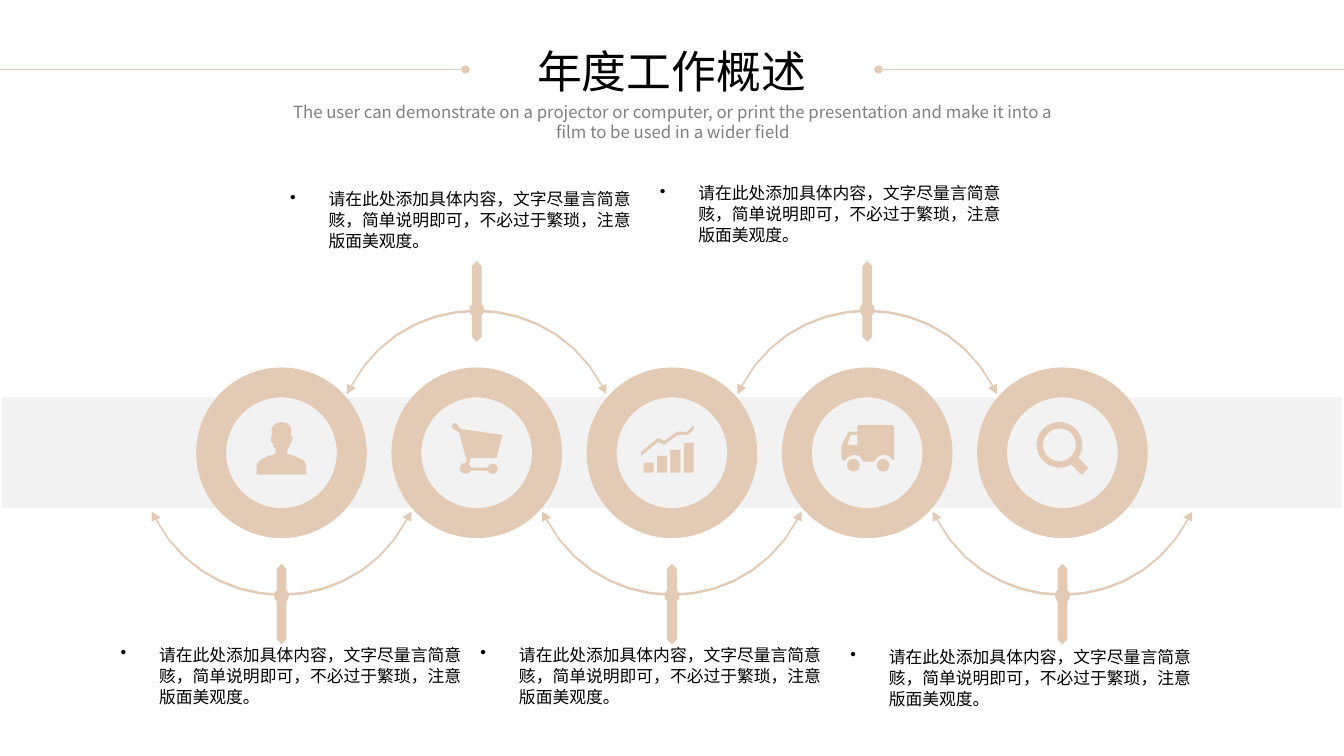
from pptx import Presentation
from pptx import util as u
from pptx.dml.color import RGBColor
from pptx.enum import shapes, text
from pptx.oxml.ns import qn
from lxml import etree

# ---------- Content ----------
TITLE = "年度工作概述"
SUBTITLE = ("The user can demonstrate on a projector or computer, or print the "
            "presentation and make it into a film to be used in a wider field")
CAPTION = "请在此处添加具体内容，文字尽量言简意赅，简单说明即可，不必过于繁琐，注意版面美观度。"
CAPTION_CORNERS = [(2.79, 16.1), (7.06, 4.62), (11.86, 16.1), (16.38, 4.47), (21.18, 16.15)]
FONT = "Noto Sans CJK SC"
SAND, PALE, BLACK, GREY = "E3CAB4", "F2F2F2", "000000", "808080"

# Outlines: a pair is a corner, six numbers are a Bezier curve.
# Icons are measured in grid steps from the middle of their ring.
GRID = 0.025
PERSON_HALF = [(0, -31), (6, -31, 10, -27, 10, -23), (10, -22, 10, -19, 9, -17),
               (11, -18, 11, -14, 11, -13), (11, -12, 10, -10, 9, -10),
               (9, -6, 6, -4, 6, -4), (6, 1), (6, 1, 8, 2, 13, 3),
               (18, 6, 23, 7, 24, 10), (26, 12, 25, 22, 25, 22)]
CART = [(16, 11), (14, 11, 11, 13, 11, 15), (-6, 15), (-6, 13, -7, 12, -8, 12),
        (-6, 5), (20, 5), (26, -18), (-16, -24), (-19, -27),
        (-19, -28, -21, -30, -22, -30), (-24, -30, -25, -28, -25, -27),
        (-25, -25, -24, -23, -22, -23), (-18, -21), (-11, 5), (-10, 5), (-11, 10),
        (-15, 10, -17, 13, -17, 16), (-17, 19, -15, 21, -11, 21),
        (-9, 21, -7, 20, -6, 18), (11, 18), (12, 20, 14, 21, 16, 21),
        (19, 21, 21, 19, 21, 16), (21, 13, 19, 11, 16, 11)]
TREND = [(15, -21), (5, -21), (-8, -12), (-14, -15), (-31, -1), (-31, 3),
         (-14, -11), (-8, -8), (6, -18), (16, -18), (22, -24), (22, -28)]
BAR_HEIGHTS = [10, 17, 23, 30]
TRUCK = [(25, -28), (-8, -28), (-9, -28, -10, -27, -10, -26), (-10, -21), (-18, -21),
         (-19, -21, -20, -20, -20, -19), (-25, -9), (-26, -8, -26, -7, -26, -6),
         (-26, 4), (-26, 5, -25, 6, -25, 7), (-23, 8), (-21, 5, -17, 2, -13, 2),
         (-9, 2, -5, 5, -4, 9), (7, 9), (9, 5, 12, 2, 17, 2), (21, 2, 25, 5, 26, 8),
         (27, 7), (27, -26), (27, -27, 26, -28, 25, -28)]
TRUCK_WINDOW = [(-10, -8), (-20, -8), (-17, -18), (-10, -18)]
HANDLE = [(16, 5), (25, 14), (26, 14, 26, 15, 25, 16), (21, 21),
          (20, 22, 19, 22, 18, 21), (9, 12)]
# Double-headed swing below a node, in cm from the node
SWING = [(3.27, -1.86), (3.18, -1.91), (1.83, 0.65, -1.83, 0.65, -3.18, -1.91),
         (-3.27, -1.86), (-3.27, -2.12), (-3.05, -1.97), (-3.14, -1.92),
         (-1.8, 0.57, 1.8, 0.57, 3.14, -1.92), (3.05, -1.97), (3.27, -2.12)]
ICON_STEPS, SWING_STEPS = 3, 14

# ---------- Layout, cm ----------
WIDTH, HEIGHT = 33.87, 19.05
RING, HOLE, PITCH, RING_Y = 4.3, 2.79, 4.92, 11.41
RING_XS = [WIDTH / 2 + PITCH * (i - 2) for i in range(5)]
NODE, NODE_GAP = 0.38, 3.6
SPIKE_WIDTH, SPIKE_NEAR, SPIKE_FAR = 0.26, 0.8, 1.23
RULE_Y, RULE_LENGTH = 1.75, 11.73

deck = Presentation()
deck.slide_width, deck.slide_height = u.Cm(WIDTH), u.Cm(HEIGHT)
slide = deck.slides.add_slide(deck.slide_layouts[1])
KIND = shapes.MSO_SHAPE


def rgb(value):
    return RGBColor.from_string(value)


def paint(shape, color=SAND):
    shape.shadow.inherit = False
    shape.fill.solid()
    shape.fill.fore_color.rgb = rgb(color)
    shape.line.fill.background()


def preset(kind, x, y, w, h, *adjustments, color=SAND):
    """Preset shape centred on x, y."""
    shape = slide.shapes.add_shape(kind, u.Cm(x - w / 2), u.Cm(y - h / 2), u.Cm(w), u.Cm(h))
    for i, value in enumerate(adjustments):
        shape.adjustments[i] = value
    paint(shape, color)


def flatten(outline, steps=ICON_STEPS):
    points = []
    for part in outline:
        if len(part) == 2:
            points.append(part)
            continue
        nodes = [points[-1], part[:2], part[2:4], part[4:]]
        for k in range(1, steps + 1):
            t = k / steps
            weights = ((1 - t) ** 3, 3 * t * (1 - t) ** 2, 3 * t * t * (1 - t), t ** 3)
            points.append(tuple(sum(w * n[axis] for w, n in zip(weights, nodes))
                                for axis in (0, 1)))
    return points


def freeform(x, y, *outlines, unit=GRID, flip=1):
    """Filled outlines measured from x, y; flip=-1 turns them upside down."""
    builder = None
    for outline in outlines:
        points = [(u.Cm(px * unit), u.Cm(py * unit * flip)) for px, py in outline]
        if builder is None:
            builder = slide.shapes.build_freeform(*points[0])
        else:
            builder.move_to(*points[0])
        builder.add_line_segments(points[1:], close=True)
    paint(builder.convert_to_shape(u.Cm(x), u.Cm(y)))


def write(box, corner, size, words, points, color, align=text.PP_ALIGN.LEFT, wrap=True):
    box.left, box.top, box.width, box.height = (u.Cm(v) for v in (*corner, *size))
    frame = box.text_frame
    frame.auto_size = text.MSO_AUTO_SIZE.NONE
    frame.word_wrap = wrap
    frame.vertical_anchor = text.MSO_ANCHOR.TOP
    paragraph = frame.paragraphs[0]
    paragraph.alignment = align
    paragraph.space_before = u.Pt(0)
    run = paragraph.add_run()
    run.text = words
    run.font.name, run.font.size = FONT, u.Pt(points)
    run.font.color.rgb = rgb(color)
    etree.SubElement(run.font._element, qn("a:ea"), typeface=FONT)
    return paragraph


def set_bullet(paragraph, tag, indent, **attributes):
    props = paragraph._p.get_or_add_pPr()
    props.set("marL", str(u.Cm(indent)))
    props.set("indent", str(-u.Cm(indent)))
    etree.SubElement(props, qn(tag), **attributes)


# ---------- Heading ----------
write(slide.shapes.title, (13.28, 0.97), (7.29, 1.63), TITLE, 32, BLACK,
      text.PP_ALIGN.CENTER, wrap=False)
subtitle = write(slide.placeholders[1], (6.98, 2.44), (19.96, 1.27), SUBTITLE, 12, GREY,
                 text.PP_ALIGN.CENTER)
set_bullet(subtitle, "a:buNone", 0)

for edge, inner in ((0, RULE_LENGTH), (WIDTH, WIDTH - RULE_LENGTH)):
    rule = slide.shapes.add_connector(shapes.MSO_CONNECTOR.STRAIGHT, u.Cm(edge), u.Cm(RULE_Y),
                                      u.Cm(inner), u.Cm(RULE_Y))
    rule.line.color.rgb = rgb(SAND)
    rule.line.width = u.Pt(0.5)
    etree.SubElement(rule.line._get_or_add_ln(), qn("a:tailEnd"), type="oval")
    etree.SubElement(rule._element.spPr, qn("a:effectLst"))

# ---------- Band, rings, swings and captions ----------
preset(KIND.RECTANGLE, WIDTH / 2, RING_Y, 33.76, HOLE, color=PALE)
swing = flatten(SWING, SWING_STEPS)
for i, (x, corner) in enumerate(zip(RING_XS, CAPTION_CORNERS)):
    preset(KIND.DONUT, x, RING_Y, RING, RING, (RING - HOLE) / 2 / RING)

    side = -1 if i % 2 else 1
    node_y = RING_Y + side * NODE_GAP
    freeform(x, node_y, swing, unit=1, flip=side)
    preset(KIND.OVAL, x, node_y, NODE, NODE)
    preset(KIND.UP_DOWN_ARROW, x, node_y + side * (SPIKE_FAR - SPIKE_NEAR) / 2,
           SPIKE_WIDTH, SPIKE_NEAR + SPIKE_FAR, 0.2, 0.95)

    caption = write(slide.shapes.add_textbox(0, 0, 0, 0), corner, (9.32, 1.42),
                    CAPTION, 12, BLACK)
    caption.line_spacing = u.Pt(15)
    set_bullet(caption, "a:buChar", 0.97, char="•")

# ---------- Icons ----------
person_x, cart_x, chart_x, truck_x, lens_x = RING_XS
right_half = flatten(PERSON_HALF)
freeform(person_x, RING_Y, right_half + [(-px, py) for px, py in reversed(right_half)])
freeform(cart_x, RING_Y, flatten(CART))

freeform(chart_x, RING_Y, TREND)
for i, bar in enumerate(BAR_HEIGHTS):
    preset(KIND.RECTANGLE, chart_x + (13.5 * i - 23.5) * GRID, RING_Y + (20 - bar / 2) * GRID,
           10 * GRID, bar * GRID)

freeform(truck_x, RING_Y, flatten(TRUCK), TRUCK_WINDOW)
for wheel in (-14, 16):
    preset(KIND.OVAL, truck_x + wheel * GRID, RING_Y + 12.5 * GRID, 13 * GRID, 13 * GRID)

preset(KIND.DONUT, lens_x - 3 * GRID, RING_Y - 8 * GRID, 46 * GRID, 46 * GRID, 0.14)
freeform(lens_x, RING_Y, flatten(HANDLE))

deck.save("out.pptx")
